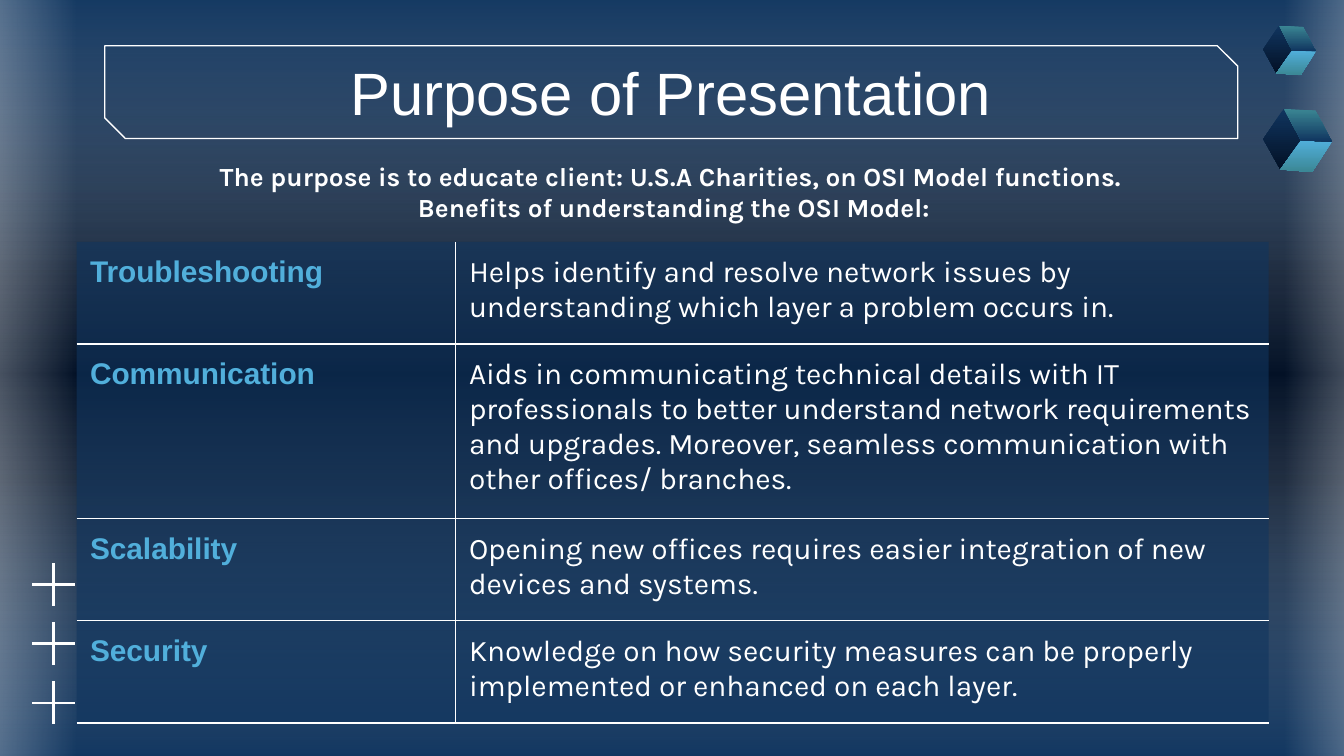
from lxml.etree import SubElement
from pptx import Presentation
from pptx.dml.color import RGBColor
from pptx.enum.shapes import MSO_SHAPE
from pptx.enum.text import MSO_ANCHOR, MSO_AUTO_SIZE, PP_ALIGN
from pptx.oxml.ns import qn
from pptx.util import Inches, Pt

WHITE, NAVY, MIDNIGHT, SKY, TEAL = "FFFFFF", "10355F", "031126", "51AFDB", "3B8794"
NO_STYLE_NO_GRID = "{2D5ABB26-0587-4C30-8999-92F81FD0307C}"
BENEFITS = [
    ("Troubleshooting", "Helps identify and resolve network issues by understanding "
     "which layer a problem occurs in."),
    ("Communication", "Aids in communicating technical details with IT professionals to "
     "better understand network requirements and upgrades. Moreover, seamless "
     "communication with other offices/ branches."),
    ("Scalability", "Opening new offices requires easier integration of new devices "
     "and systems."),
    ("Security", "Knowledge on how security measures can be properly implemented or "
     "enhanced on each layer."),
]


def color(value):
    return RGBColor.from_string(value)


def add_alpha(color_element, percent):
    SubElement(color_element, qn("a:alpha"), val=str(percent * 1000))


def paint_gradient(fill, element, stops, angle):
    """Fill with (position, colour, opacity) stops; the angle runs clockwise."""
    fill.gradient()
    fill.gradient_angle = 360 - angle
    stop_list = next(element.iter(qn("a:gsLst")))
    for old_stop in list(stop_list):
        stop_list.remove(old_stop)
    for position, value, opacity in stops:
        stop = SubElement(stop_list, qn("a:gs"), pos=str(position * 1000))
        stop_color = SubElement(stop, qn("a:srgbClr"), val=value)
        if opacity < 100:
            add_alpha(stop_color, opacity)


def add_preset(slide, kind, box):
    shape = slide.shapes.add_shape(kind, *map(Inches, box))
    shape.shadow.inherit = False
    return shape


def add_backdrop(slide):
    paint_gradient(slide.background.fill, slide._element,
                   [(0, NAVY, 100), (37, MIDNIGHT, 100), (63, MIDNIGHT, 100), (100, NAVY, 100)], 90)
    haze = [(0, NAVY, 59), (50, WHITE, 0), (100, NAVY, 59)]
    glow = [(0, WHITE, 47), (100, WHITE, 0)]
    for box, rotation, stops in [((2.2, -2.33, 5.81, 10.21), 270, haze),
                                 ((-0.41, -0.09, 0.98, 5.8), 180, glow),
                                 ((9.56, -0.13, 0.85, 5.8), 0, glow)]:
        panel = add_preset(slide, MSO_SHAPE.RECTANGLE, box)
        panel.rotation = rotation
        panel.line.fill.background()
        paint_gradient(panel.fill, panel._element, stops, 180)


def add_run(paragraph, text, size, font, value, bold=False):
    run = paragraph.add_run()
    run.text = text
    run.font.size, run.font.name, run.font.bold = Pt(size), font, bold
    run.font.color.rgb = color(value)


def fill_placeholder(slide, placeholder, box, anchor, lines, size, font, bold):
    slide.shapes._spTree.append(placeholder._element)  # bring in front of the backdrop
    placeholder.left, placeholder.top, placeholder.width, placeholder.height = map(Inches, box)
    frame = placeholder.text_frame
    frame.word_wrap, frame.auto_size = True, MSO_AUTO_SIZE.NONE
    frame.vertical_anchor = anchor
    frame.margin_left = frame.margin_right = frame.margin_top = frame.margin_bottom = Inches(0.1)
    for index, line in enumerate(lines):
        paragraph = frame.add_paragraph() if index else frame.paragraphs[0]
        paragraph.alignment = PP_ALIGN.CENTER
        paragraph.space_before = Pt(0)
        properties = paragraph._p.get_or_add_pPr()
        properties.set("marL", "0")
        properties.set("indent", "0")
        SubElement(properties, qn("a:buNone"))
        add_run(paragraph, line, size, font, WHITE, bold)


def add_heading(slide, left, top, width):
    frame = add_preset(slide, MSO_SHAPE.SNIP_2_DIAG_RECTANGLE, (left, top, width, 0.69))
    frame.adjustments[0], frame.adjustments[1] = 0, 0.221
    frame.fill.background()
    frame.line.color.rgb, frame.line.width = color(WHITE), Pt(0.75)
    fill_placeholder(slide, slide.shapes.title, (left, top + 0.03, width, 0.63),
                     MSO_ANCHOR.MIDDLE, ["Purpose of Presentation"], 32, "Arial", False)
    fill_placeholder(slide, slide.placeholders[1], (left + 0.02, top + 0.75, width, 0.63),
                     MSO_ANCHOR.TOP,
                     ["The purpose is to educate client: U.S.A Charities, on OSI Model functions. ",
                      "Benefits of understanding the OSI Model:"], 14, "Karla", True)


def format_cell(cell, sides):
    cell.margin_left = cell.margin_right = cell.margin_top = cell.margin_bottom = Inches(0.1)
    properties = cell._tc.get_or_add_tcPr()
    for side in sides:
        line = SubElement(properties, qn(f"a:ln{side}"), w=str(Pt(0.75)))
        SubElement(SubElement(line, qn("a:solidFill")), qn("a:srgbClr"), val=WHITE)
    cell.fill.solid()
    cell.fill.fore_color.rgb = color(NAVY)
    add_alpha(properties.find(qn("a:solidFill")).find(qn("a:srgbClr")), 59)


def add_benefits_table(slide, left, top):
    widths, heights = (2.82, 6.05), (0.76, 1.3, 0.76, 0.76)
    frame = slide.shapes.add_table(len(heights), len(widths), Inches(left), Inches(top),
                                   Inches(sum(widths)), Inches(sum(heights)))
    table = frame.table
    table.first_row = table.horz_banding = False
    table._tbl.tblPr.find(qn("a:tableStyleId")).text = NO_STYLE_NO_GRID
    for column, width in zip(table.columns, widths):
        column.width = Inches(width)
    for index, (row, height, (name, benefit)) in enumerate(zip(table.rows, heights, BENEFITS)):
        row.height = Inches(height)
        name_cell, benefit_cell = row.cells
        across = ["T", "B"] if index else ["B"]
        format_cell(name_cell, ["R", *across])
        format_cell(benefit_cell, ["L", *across])
        add_run(name_cell.text_frame.paragraphs[0], name, 16, "Arial", SKY, True)
        paragraph = benefit_cell.text_frame.paragraphs[0]
        paragraph.space_after = Pt(16)
        add_run(paragraph, benefit, 16, "Karla", WHITE)


def add_polygon(group, points):
    start, *others = [(Inches(x), Inches(y)) for x, y in points]
    builder = group.shapes.build_freeform(*start)
    builder.add_line_segments(others, close=True)
    polygon = builder.convert_to_shape()
    polygon.shadow.inherit = False
    polygon.line.fill.background()
    return polygon


def add_plus_signs(slide, left, top, size=0.32, bar=0.02, pitch=0.44, count=3):
    group = slide.shapes.add_group_shape()
    inset = (size - bar) / 2
    for index in range(count):
        y = top + index * pitch
        for x1, y1, width, height in [(left, y + inset, size, bar), (left + inset, y, bar, size)]:
            x2, y2 = x1 + width, y1 + height
            polygon = add_polygon(group, [(x1, y1), (x1, y2), (x2, y2), (x2, y1)])
            polygon.fill.solid()
            polygon.fill.fore_color.rgb = color(WHITE)


def add_cube(slide, left, top, width, height):
    peak, shoulder, center = (0.3, 0), (0.76, 0.03), (0.55, 0.5)
    west, east, heel, toe = (0, 0.48), (1, 0.52), (0.25, 0.96), (0.71, 1)
    faces = [((peak, west, heel, center), NAVY, MIDNIGHT),
             ((center, east, toe, heel), SKY, TEAL),
             ((peak, shoulder, east, center), TEAL, NAVY)]
    group = slide.shapes.add_group_shape()
    for corners, first, last in faces:
        face = add_polygon(group, [(left + x * width, top + y * height) for x, y in corners])
        paint_gradient(face.fill, face._element, [(0, first, 100), (100, last, 100)], 90)


def main():
    presentation = Presentation()
    presentation.slide_width = Inches(10)
    presentation.slide_height = presentation.slide_width * 9 // 16
    slide = presentation.slides.add_slide(presentation.slide_layouts[1])
    add_backdrop(slide)
    add_heading(slide, 0.78, 0.34, 8.43)
    add_benefits_table(slide, 0.57, 1.8)
    add_plus_signs(slide, 0.24, 4.19)
    add_cube(slide, 9.4, 0.81, 0.51, 0.47)
    add_cube(slide, 9.4, 0.19, 0.39, 0.37)
    presentation.save("out.pptx")


if __name__ == "__main__":
    main()
